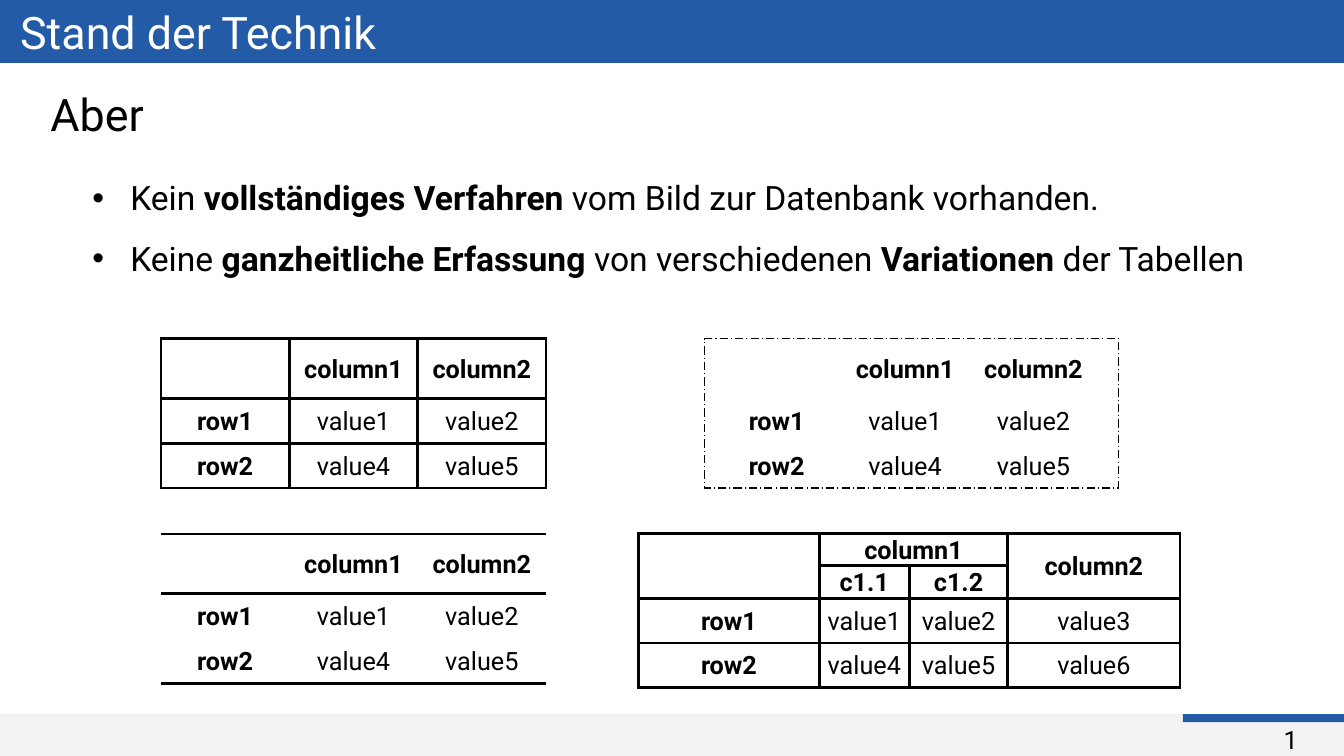
from lxml.etree import SubElement
from pptx import Presentation
from pptx.dml.color import RGBColor
from pptx.enum.dml import MSO_LINE
from pptx.enum.shapes import MSO_SHAPE
from pptx.enum.text import MSO_ANCHOR as Anchor, PP_ALIGN as Align
from pptx.oxml.ns import qn
from pptx.util import Pt

FONT = "Roboto"
BLACK, WHITE, BLUE, GREY = "000000", "FFFFFF", "235BA6", "F2F2F2"
SIDES = "LRTB"
COLUMN_WIDTHS = [91.7] * 3
ROW_HEIGHTS = [42.6, 32, 32]
SIMPLE_ROWS = [
    ["", "column1", "column2"],
    ["row1", "value1", "value2"],
    ["row2", "value4", "value5"],
]
NESTED_ROWS = [
    ["", "column1", "", "column2"],
    ["", "c1.1", "c1.2", ""],
    ["row1", "value1", "value2", "value3"],
    ["row2", "value4", "value5", "value6"],
]
BULLETS = [
    [("Kein ", False), ("vollständiges Verfahren", True),
     (" vom Bild zur Datenbank vorhanden.", False)],
    [("Keine ", False), ("ganzheitliche Erfassung", True),
     (" von verschiedenen ", False), ("Variationen", True),
     (" der Tabellen", False)],
]


def color(value):
    return RGBColor.from_string(value)


def style_font(font, size, value=BLACK, bold=False):
    font.name, font.size, font.bold = FONT, Pt(size), bold
    font.color.rgb = color(value)


def add_bar(page, left, top, width, height, fill):
    bar = page.shapes.add_shape(
        MSO_SHAPE.RECTANGLE, Pt(left), Pt(top), Pt(width), Pt(height))
    bar.shadow.inherit = False
    bar.fill.solid()
    bar.fill.fore_color.rgb = color(fill)
    bar.line.fill.background()
    return bar


def add_frame(page, left, top, width, height):
    frame = add_bar(page, left, top, width, height, WHITE)
    frame.fill.background()
    frame.line.color.rgb = color(BLACK)
    frame.line.width = Pt(0.75)
    frame.line.dash_style = MSO_LINE.LONG_DASH_DOT


def add_box(page, left, top, width, height):
    box = page.shapes.add_textbox(Pt(left), Pt(top), Pt(width), Pt(height))
    box.text_frame.word_wrap = True
    return box


def set_line(shape, text, size, value=BLACK, align=Align.LEFT):
    para = shape.text_frame.paragraphs[0]
    para.text, para.alignment = text, align
    style_font(para.runs[0].font, size, value)


def add_bullets(page, left, top, width, height, items):
    frame = add_box(page, left, top, width, height).text_frame
    for index, item in enumerate(items):
        para = frame.paragraphs[0] if index == 0 else frame.add_paragraph()
        para.line_spacing = 1.5
        for text, bold in item:
            span = para.add_run()
            span.text = text
            style_font(span.font, 24, bold=bold)
        props = para._p.get_or_add_pPr()
        props.set("marL", str(Pt(27)))
        props.set("indent", str(-Pt(27)))
        SubElement(props, qn("a:buFont"), typeface="Arial")
        SubElement(props, qn("a:buChar"), char="•")


def set_borders(cell, sides):
    props = cell._tc.get_or_add_tcPr()
    for index, side in enumerate(SIDES):
        line = SubElement(props, qn("a:ln" + side), w=str(Pt(2.25)))
        if side in sides:
            fill = SubElement(line, qn("a:solidFill"))
            SubElement(fill, qn("a:srgbClr"), val=BLACK)
        else:
            SubElement(line, qn("a:noFill"))
        props.insert(index, line)


def fill_cell(cell, text, bold):
    cell.fill.background()
    cell.vertical_anchor = Anchor.MIDDLE
    cell.margin_left = cell.margin_right = Pt(5)
    cell.margin_top = cell.margin_bottom = 0
    para = cell.text_frame.paragraphs[0]
    para.text, para.alignment = text, Align.CENTER
    para.line_spacing, para.space_after = 1.07, Pt(8)
    for span in para.runs:
        style_font(span.font, 18, bold=bold)


def add_grid(page, left, top, rows, widths, heights, row_sides,
             header_rows=1, merges=()):
    """row_sides holds the drawn cell sides for each row."""
    table = page.shapes.add_table(
        len(rows), len(widths), Pt(left), Pt(top),
        Pt(sum(widths)), Pt(sum(heights))).table
    table.first_row = table.horz_banding = False
    for column, width in zip(table.columns, widths):
        column.width = Pt(width)
    for row, height in zip(table.rows, heights):
        row.height = Pt(height)
    for r, texts in enumerate(rows):
        for c, text in enumerate(texts):
            cell = table.cell(r, c)
            fill_cell(cell, text, r < header_rows or c == 0)
            set_borders(cell, row_sides[r])
    for start, end in merges:
        table.cell(*start).merge(table.cell(*end))


def main():
    deck = Presentation()
    deck.slide_width, deck.slide_height = Pt(960), Pt(540)
    page = deck.slides.add_slide(deck.slide_layouts[6])

    # Footer with page number
    add_bar(page, 0, 510, 960, 30, GREY)
    add_bar(page, 845, 510, 115, 5.8, BLUE)
    number = add_box(page, 880, 514, 54, 29)
    set_line(number, "1", 18, align=Align.RIGHT)

    # Title bar and heading
    title = add_bar(page, 0, -0.5, 960, 45.5, BLUE)
    title.text_frame.margin_left = Pt(14.4)
    title.text_frame.vertical_anchor = Anchor.MIDDLE
    set_line(title, "Stand der Technik", 32, WHITE)
    set_line(add_box(page, 29, 58.3, 894, 64), "Aber", 32)
    add_bullets(page, 59, 108.7, 878, 90, BULLETS)

    # Table variations: framed only, ruled, full grid, nested header
    for left, top, row_sides in [
        (509, 242, ["", "", ""]),
        (115, 381.5, ["TB", "T", "B"]),
        (115, 242, [SIDES] * 3),
    ]:
        add_grid(page, left, top, SIMPLE_ROWS, COLUMN_WIDTHS, ROW_HEIGHTS,
                 row_sides)
    add_grid(page, 456.3, 381, NESTED_ROWS, [128.9, 64.4, 70.3, 123],
             [21.6, 21.6, 32, 32], [SIDES] * 4, header_rows=2,
             merges=[((0, 0), (1, 0)), ((0, 1), (0, 2)), ((0, 3), (1, 3))])
    add_frame(page, 503.3, 242, 296, 106.6)

    deck.save("out.pptx")


if __name__ == "__main__":
    main()
